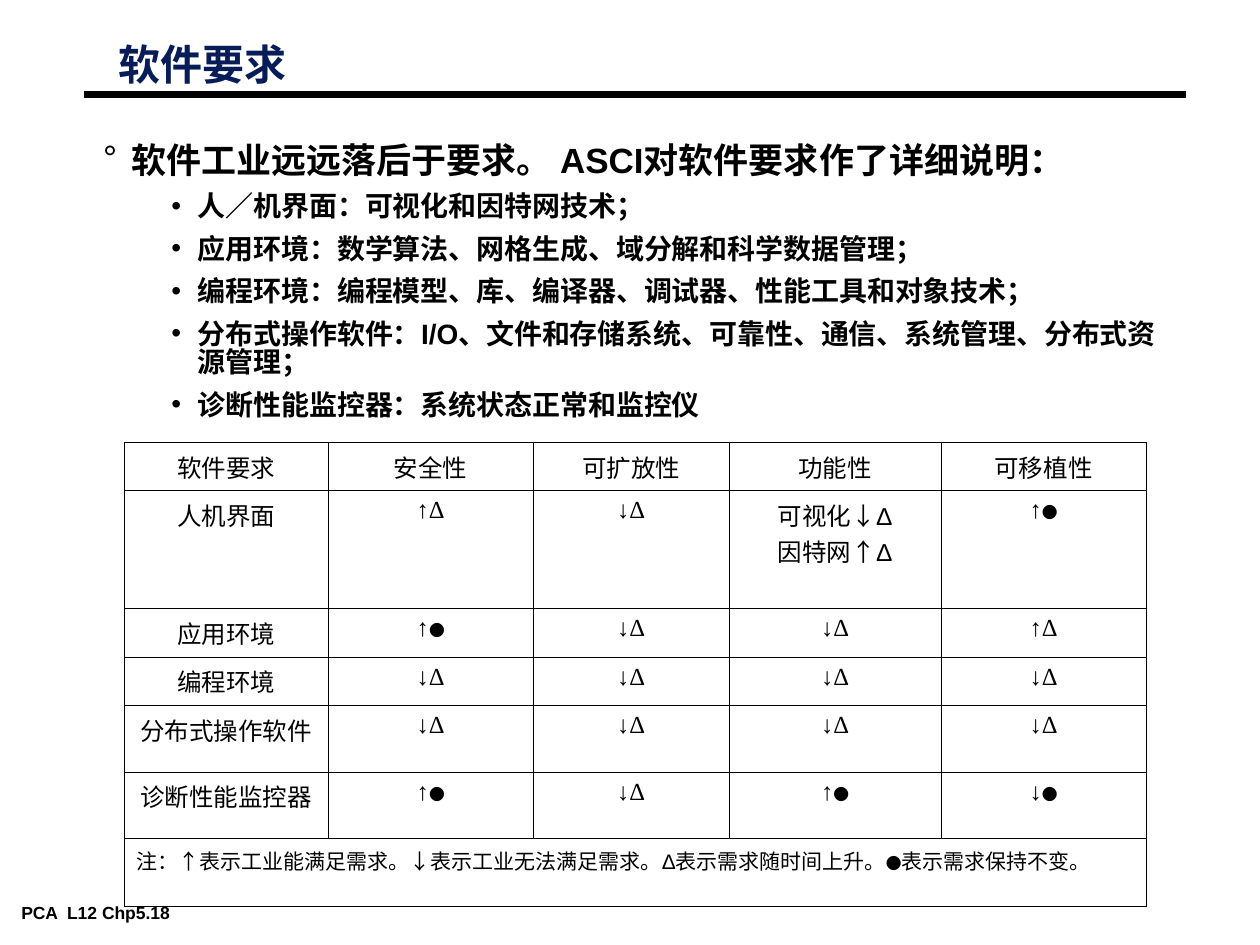
from lxml import etree
from pptx import Presentation
from pptx.dml.color import RGBColor
from pptx.enum.shapes import MSO_CONNECTOR
from pptx.enum.text import MSO_ANCHOR, MSO_AUTO_SIZE, PP_ALIGN
from pptx.oxml.ns import qn
from pptx.util import Pt

LEFT, CENTER = PP_ALIGN.LEFT, PP_ALIGN.CENTER
TOP, MIDDLE = MSO_ANCHOR.TOP, MSO_ANCHOR.MIDDLE
NO_FIT = MSO_AUTO_SIZE.NONE
STRAIGHT = MSO_CONNECTOR.STRAIGHT
BLACK, NAVY = "000000", "081D58"

TITLE = "软件要求"
FOOTER = "PCA  L12 Chp5.18"
LEAD = "软件工业远远落后于要求。 ASCI对软件要求作了详细说明："
POINTS = [
    "人／机界面：可视化和因特网技术；",
    "应用环境：数学算法、网格生成、域分解和科学数据管理；",
    "编程环境：编程模型、库、编译器、调试器、性能工具和对象技术；",
    "分布式操作软件：I/O、文件和存储系统、可靠性、通信、系统管理、分布式资源管理；",
    "诊断性能监控器：系统状态正常和监控仪",
]

SERIF = {"name": "Times New Roman", "size": Pt(14), "bold": False}
SANS = {**SERIF, "name": "Arial"}
NOTE_SERIF = {**SERIF, "size": Pt(12)}
NOTE_SANS = {**SANS, "size": Pt(12)}
DOT = {"name": "Noto Sans CJK SC", "size": Pt(9), "bold": False}

MET_RISING, UNMET_RISING = "↑Δ", "↓Δ"
MET_STEADY = [[("↑", SERIF), ("●", DOT)]]
UNMET_STEADY = [[("↓", SERIF), ("●", DOT)]]
INTERFACE = [[("可视化", SERIF), ("↓Δ", SANS)], [("因特网", SERIF), ("↑Δ", SANS)]]
NOTE = [[
    ("注：", NOTE_SERIF),
    ("↑表示工业能满足需求。↓表示工业无法满足需求。Δ表示需求随时间上升。", NOTE_SANS),
    ("●", DOT),
    ("表示需求保持不变。", NOTE_SANS),
]]
ROWS = [
    ["软件要求", "安全性", "可扩放性", "功能性", "可移植性"],
    ["人机界面", MET_RISING, UNMET_RISING, INTERFACE, MET_STEADY],
    ["应用环境", MET_STEADY, UNMET_RISING, UNMET_RISING, MET_RISING],
    ["编程环境"] + [UNMET_RISING] * 4,
    ["分布式操作软件"] + [UNMET_RISING] * 4,
    ["诊断性能监控器", MET_STEADY, UNMET_RISING, MET_STEADY, UNMET_STEADY],
    [NOTE],
]
COL_WIDTHS = [116.6, 117.1, 112, 121.1, 117.1]
ROW_HEIGHTS = [26, 67.5, 26, 26, 38, 38, 39]


def rgb(color):
    """Turn a hex string into a colour."""
    return RGBColor.from_string(color)


def set_attrs(obj, values):
    """Set every attribute in a dict of format values."""
    for name, value in values.items():
        setattr(obj, name, value)


def add_run(p, text, fmt, color=BLACK):
    """Append a formatted run to a paragraph."""
    r = p.add_run()
    r.text = text
    set_attrs(r.font, fmt)
    r.font.color.rgb = rgb(color)


def set_indent(p, margin, hang, bullet=None):
    """Give a paragraph a hanging indent and, if named, a bullet."""
    pPr = p._p.get_or_add_pPr()
    pPr.set("marL", str(Pt(margin)))
    pPr.set("indent", str(-Pt(hang)))
    if bullet:
        clr = etree.SubElement(pPr, qn("a:buClr"))
        etree.SubElement(clr, qn("a:srgbClr"), val=BLACK)
        etree.SubElement(pPr, qn("a:buFont"), typeface="Arial")
        etree.SubElement(pPr, qn("a:buChar"), char=bullet)


def set_frame(shape, box, anchor, wrap=True):
    """Place a text shape and set up its frame."""
    set_attrs(shape, dict(zip(("left", "top", "width", "height"), map(Pt, box))))
    set_attrs(shape.text_frame, {
        "margin_left": Pt(5), "margin_right": Pt(5),
        "margin_top": Pt(2), "margin_bottom": Pt(2),
        "vertical_anchor": anchor, "auto_size": NO_FIT, "word_wrap": wrap,
    })
    return shape.text_frame


def set_borders(cell):
    """Draw thin black lines around a cell."""
    tcPr = cell._tc.get_or_add_tcPr()
    for side in ("lnL", "lnR", "lnT", "lnB"):
        ln = etree.SubElement(tcPr, qn(f"a:{side}"), w=str(Pt(0.45)))
        fill = etree.SubElement(ln, qn("a:solidFill"))
        etree.SubElement(fill, qn("a:srgbClr"), val=BLACK)


def fill_cell(cell, content, align):
    """Write plain text or lists of runs into a cell."""
    lines = [[(content, SERIF)]] if isinstance(content, str) else content
    tf = cell.text_frame
    for i, runs in enumerate(lines):
        p = tf.add_paragraph() if i else tf.paragraphs[0]
        p.alignment = align
        set_indent(p, 16, 16)
        for text, fmt in runs:
            add_run(p, text, fmt)


def add_body(shape):
    """Fill the body placeholder with the lead line and its points."""
    tf = set_frame(shape, (54, 82.8, 623.5, 160), TOP)
    for i, text in enumerate([LEAD] + POINTS):
        p = tf.add_paragraph() if i else tf.paragraphs[0]
        set_attrs(p, {
            "level": 1 if i else 0, "alignment": LEFT,
            "line_spacing": 0.85 if i else 0.75,
            "space_before": Pt(8 if i else 0), "space_after": Pt(0),
        })
        set_indent(p, *((54, 15, "•") if i else (16, 16, "°")))
        add_run(p, text, {"name": "Arial", "size": Pt(16 if i else 20), "bold": True})


def add_requirements(s):
    """Add the table of software requirements."""
    table = s.shapes.add_table(
        len(ROWS), len(COL_WIDTHS), Pt(71), Pt(252.7),
        Pt(sum(COL_WIDTHS)), Pt(sum(ROW_HEIGHTS))).table
    set_attrs(table, {"first_row": False, "horz_banding": False})
    for col, width in zip(table.columns, COL_WIDTHS):
        col.width = Pt(width)
    for row, height in zip(table.rows, ROW_HEIGHTS):
        row.height = Pt(height)
    for cell in table.iter_cells():
        set_borders(cell)
        cell.fill.background()
    last = len(ROWS) - 1
    table.cell(last, 0).merge(table.cell(last, len(COL_WIDTHS) - 1))
    for i, row in enumerate(ROWS):
        for j, content in enumerate(row):
            fill_cell(table.cell(i, j), content, LEFT if i == last else CENTER)


def main():
    """Build and save the slide."""
    prs = Presentation()
    prs.slide_width, prs.slide_height = Pt(720), Pt(540)
    s = prs.slides.add_slide(prs.slide_layouts[1])

    tf = set_frame(s.shapes.title, (62.6, 23.8, 195, 28.8), MIDDLE)
    p = tf.paragraphs[0]
    set_attrs(p, {"alignment": LEFT, "line_spacing": 0.87})
    add_run(p, TITLE, {"name": "Arial", "size": Pt(24), "bold": True}, NAVY)

    add_body(s.placeholders[1])

    rule = s.shapes.add_connector(STRAIGHT, Pt(48), Pt(54), Pt(678), Pt(54))
    rule.line.color.rgb = rgb(BLACK)
    rule.line.width = Pt(4.5)
    etree.SubElement(rule._element.spPr, qn("a:effectLst"))

    footer = s.shapes.add_textbox(0, 0, 0, 0)
    tf = set_frame(footer, (7.2, 513.4, 132.5, 15.8), TOP, False)
    add_run(tf.paragraphs[0], FOOTER, {"name": "Arial", "size": Pt(10), "bold": True})

    add_requirements(s)
    prs.save("out.pptx")


if __name__ == "__main__":
    main()
